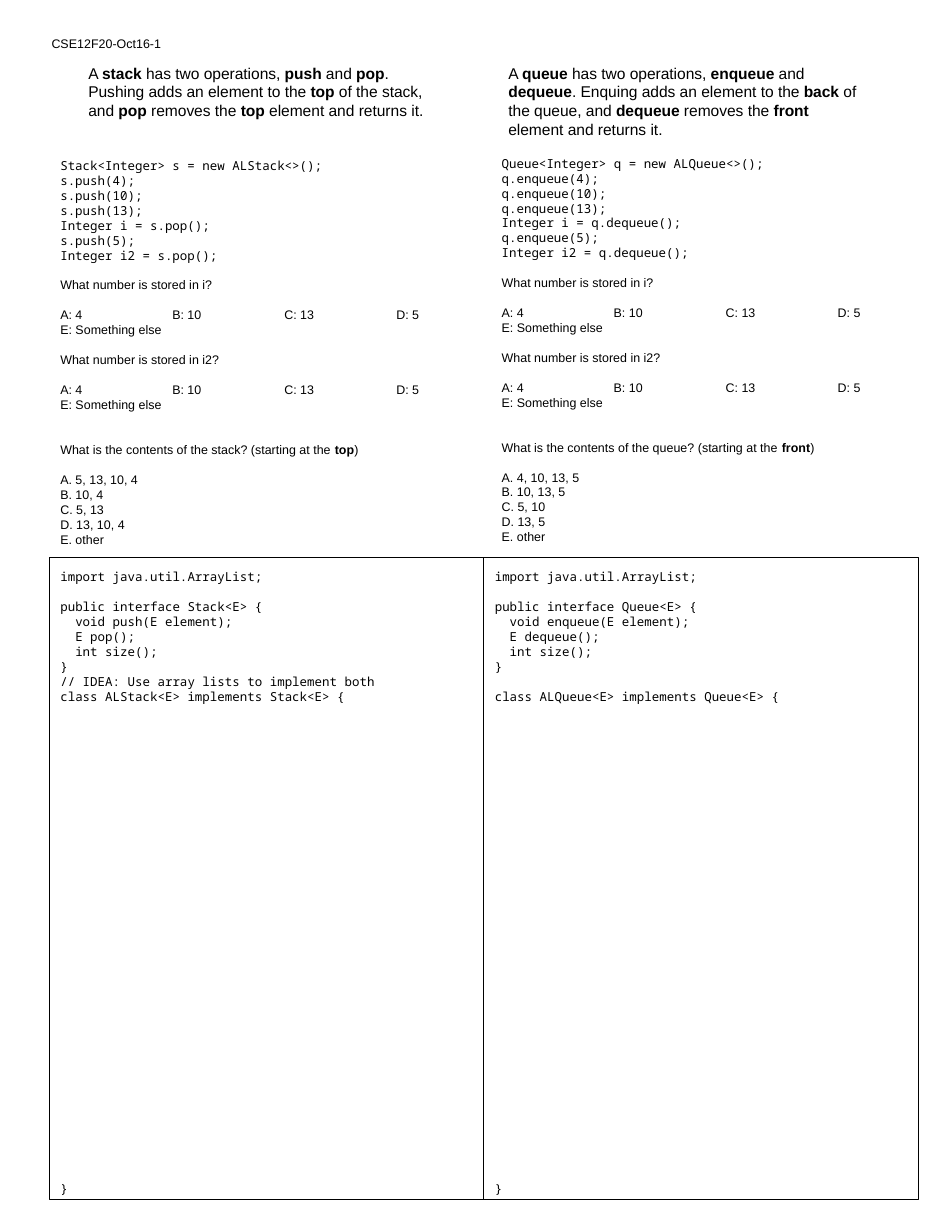
from dataclasses import dataclass

from lxml.etree import SubElement
from pptx import Presentation
from pptx.dml.color import RGBColor
from pptx.enum.shapes import MSO_SHAPE as Shape
from pptx.enum.text import MSO_ANCHOR as Anchor
from pptx.enum.text import MSO_AUTO_SIZE as Fit
from pptx.enum.text import PP_ALIGN as Align
from pptx.oxml.ns import qn
from pptx.slide import Slide
from pptx.text.text import TextFrame
from pptx.util import Pt

BLACK = RGBColor(0, 0, 0)
SANS = "Arial"
MONO = "Noto Sans Mono"
PAD = 7.2
PITCH = 1.2
TAB = 72

LEFT = 31.7
CELL_TOP = 358.6
CELL_W = 279.3
CELL_H = 412.6
FREE_ROWS = 32


@dataclass(frozen=True)
class Topic:
    name: str
    end: str
    intro: str
    intro_x: float
    quiz_x: float
    quiz_y: float
    usage: str
    answers: str
    code: str


TOPICS = (
    Topic(
        "stack", "top",
        "A **stack** has two operations, **push** and **pop**. "
        "Pushing adds an element to the **top** of the stack, "
        "and **pop** removes the **top** element and returns it.",
        49.7, LEFT, 94.3,
        """Stack<Integer> s = new ALStack<>();
s.push(4);
s.push(10);
s.push(13);
Integer i = s.pop();
s.push(5);
Integer i2 = s.pop();""",
        """A. 5, 13, 10, 4
B. 10, 4
C. 5, 13
D. 13, 10, 4
E. other""",
        """import java.util.ArrayList;

public interface Stack<E> {
  void push(E element);
  E pop();
  int size();
}
// IDEA: Use array lists to implement both
class ALStack<E> implements Stack<E> {""",
    ),
    Topic(
        "queue", "front",
        "A **queue** has two operations, **enqueue** and **dequeue**. "
        "Enquing adds an element to the **back** of the queue, "
        "and **dequeue** removes the **front** element and returns it.",
        319.7, 315.4, 92.9,
        """Queue<Integer> q = new ALQueue<>();
q.enqueue(4);
q.enqueue(10);
q.enqueue(13);
Integer i = q.dequeue();
q.enqueue(5);
Integer i2 = q.dequeue();""",
        """A. 4, 10, 13, 5
B. 10, 13, 5
C. 5, 10
D. 13, 5
E. other""",
        """import java.util.ArrayList;

public interface Queue<E> {
  void enqueue(E element);
  E dequeue();
  int size();
}

class ALQueue<E> implements Queue<E> {""",
    ),
)


def prep(frame: TextFrame) -> TextFrame:
    frame.word_wrap = True
    frame.auto_size = Fit.NONE
    frame.vertical_anchor = Anchor.TOP
    frame.margin_left = frame.margin_right = Pt(PAD)
    frame.margin_top = frame.margin_bottom = Pt(PAD)
    return frame


def write(frame: TextFrame, text: str, *, font: str = SANS,
          size: float = 8, skip: int = 0) -> None:
    for line in text.split("\n"):
        if not line:
            skip += 1
            continue
        para = frame.paragraphs[0]
        if para.runs:
            para = frame.add_paragraph()
        para.alignment = Align.LEFT
        para.line_spacing = Pt(size * PITCH)
        para.space_before = Pt(skip * size * PITCH)
        skip = 0
        if "\t" in line:
            stops = SubElement(para._p.get_or_add_pPr(), qn("a:tabLst"))
            for step in range(1, 5):
                SubElement(stops, qn("a:tab"),
                           pos=str(Pt(step * TAB)), algn="l")
        for part, words in enumerate(line.split("**")):
            run = para.add_run()
            run.text = words
            run.font.name = font
            run.font.size = Pt(size)
            run.font.bold = part % 2 == 1
            run.font.color.rgb = BLACK


def add_box(slide: Slide, x: float, y: float, w: float, h: float) -> TextFrame:
    return prep(slide.shapes.add_textbox(Pt(x), Pt(y), Pt(w), Pt(h)).text_frame)


def add_cell(slide: Slide, topic: Topic, col: int) -> None:
    cell = slide.shapes.add_shape(
        Shape.RECTANGLE, Pt(LEFT + col * CELL_W), Pt(CELL_TOP),
        Pt(CELL_W), Pt(CELL_H))
    cell.shadow.inherit = False
    cell.fill.background()
    cell.line.color.rgb = BLACK
    cell.line.width = Pt(0.75)
    frame = prep(cell.text_frame)
    write(frame, topic.code, font=MONO)
    write(frame, "}", font=MONO, skip=FREE_ROWS)


def add_quiz(slide: Slide, topic: Topic) -> None:
    frame = add_box(slide, topic.quiz_x, topic.quiz_y, 254.2, 255.6)
    write(frame, topic.usage, font=MONO)
    for name in ("i", "i2"):
        write(frame, f"What number is stored in {name}?", skip=1)
        write(frame, "A: 4\tB: 10\tC: 13\tD: 5\tE: Something else", skip=1)
    write(frame, f"What is the contents of the {topic.name}? "
                 f"(starting at the **{topic.end}**)", skip=2)
    write(frame, topic.answers, skip=1)


def add_title(slide: Slide, text: str) -> None:
    title = slide.shapes.title
    title.left, title.top = Pt(25.9), Pt(15.8)
    title.width, title.height = Pt(146.9), Pt(23.8)
    write(prep(title.text_frame), text)


def main() -> None:
    deck = Presentation()
    deck.slide_width, deck.slide_height = Pt(612), Pt(792)
    slide = deck.slides.add_slide(deck.slide_layouts[5])
    add_title(slide, "CSE12F20-Oct16-1")
    for col, topic in enumerate(TOPICS):
        add_cell(slide, topic, col)
        intro = add_box(slide, topic.intro_x, 33.8, 244.1, 52.6)
        write(intro, topic.intro, size=10)
        add_quiz(slide, topic)
    deck.save("out.pptx")


if __name__ == "__main__":
    main()
